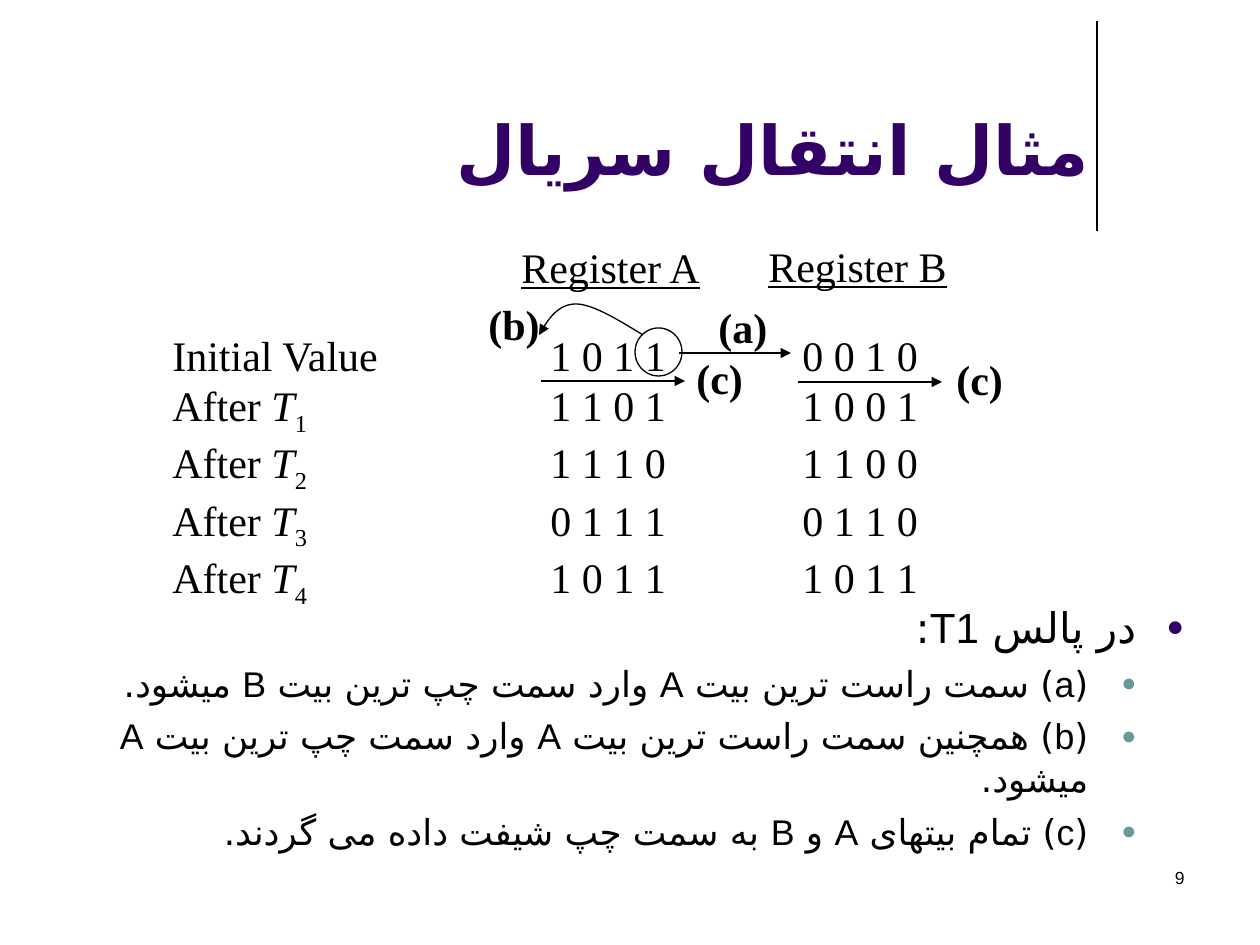
import pptx
import pptx.dml.color
import pptx.enum.shapes
import pptx.enum.text
import pptx.oxml
import pptx.oxml.ns
import pptx.util

EMU_PER_PX = 914400 / 126
BLACK, PURPLE, TEAL = "000000", "330066", "669999"
SERIF, SANS, PERSIAN = "Times New Roman", "Arial", "DejaVu Sans"
ALIGN = pptx.enum.text.PP_ALIGN

REGISTER_ROWS = [
    ("1 0 1 1", "0 0 1 0"),
    ("1 1 0 1", "1 0 0 1"),
    ("1 1 1 0", "1 1 0 0"),
    ("0 1 1 1", "0 1 1 0"),
    ("1 0 1 1", "1 0 1 1"),
]
STEPS = [
    "(a) سمت راست ترین بیت A وارد سمت چپ ترین بیت B میشود.",
    "(b) همچنین سمت راست ترین بیت A وارد سمت چپ ترین بیت A میشود.",
    "(c) تمام بیتهای A و B به سمت چپ شیفت داده می گردند.",
]


def px(*lengths):
    return [pptx.util.Emu(round(length * EMU_PER_PX)) for length in lengths]


def color(hex_string):
    return pptx.dml.color.RGBColor.from_string(hex_string)


def add_element(parent, tag, **attributes):
    element = pptx.oxml.parse_xml(f"<a:{tag} {pptx.oxml.ns.nsdecls('a')}/>")
    for name, value in attributes.items():
        element.set(name, str(value))
    parent.append(element)
    return element


def add_span(para, text, size=24, font=SERIF, fill=BLACK, bold=False,
             italic=False, underline=False, subscript=False):
    span = para.add_run()
    span.text = text
    span.font.size = pptx.util.Pt(size)
    span.font.name = font
    span.font.color.rgb = color(fill)
    span.font.bold = bold
    span.font.italic = italic
    span.font.underline = underline
    properties = span.font._element
    if subscript:
        properties.set("baseline", "-25000")
    add_element(properties, "cs", typeface=PERSIAN)


def add_box(page, x, y, width, height):
    box = page.shapes.add_textbox(*px(x, y, width, height))
    box.text_frame.word_wrap = True
    return box


def add_label(page, text, x, y, width, **style):
    box = add_box(page, x, y, width, 63)
    add_span(box.text_frame.paragraphs[0], text, **style)


def style_line(line, arrow=False):
    line.color.rgb = color(BLACK)
    line.width = pptx.util.Pt(0.75)
    if arrow:
        add_element(line._get_or_add_ln(), "tailEnd", type="triangle")


def add_line(page, x1, y1, x2, y2, arrow=True):
    straight = pptx.enum.shapes.MSO_CONNECTOR.STRAIGHT
    line = page.shapes.add_connector(straight, *px(x1, y1, x2, y2))
    style_line(line.line, arrow)
    add_element(line._element.spPr, "effectLst")


def bezier(start, first, second, end, steps=16):
    """Points along a cubic curve, without its start."""
    for step in range(1, steps + 1):
        t = step / steps
        yield tuple((1 - t) ** 3 * a + 3 * t * (1 - t) ** 2 * b
                    + 3 * t * t * (1 - t) * c + t ** 3 * d
                    for a, b, c, d in zip(start, first, second, end))


def add_feedback_arc(page):
    start, crest, end = (643, 335), (576, 304), (539, 335)
    points = [*bezier(start, (617, 319), (592, 304), crest),
              *bezier(crest, (558, 304), (548, 319), end)]
    builder = page.shapes.build_freeform(*px(*start), scale=1.0)
    builder.add_line_segments([px(*point) for point in points], close=False)
    arc = builder.convert_to_shape()
    arc.shadow.inherit = False
    arc.fill.background()
    style_line(arc.line, arrow=True)


def add_bit_circle(page):
    oval = pptx.enum.shapes.MSO_SHAPE.OVAL
    circle = page.shapes.add_shape(oval, *px(635, 328, 47, 48))
    circle.shadow.inherit = False
    circle.fill.background()
    style_line(circle.line)


def add_register_values(page):
    frame = add_box(page, 160, 323, 800, 292).text_frame
    for index, (register_a, register_b) in enumerate(REGISTER_ROWS):
        para = frame.add_paragraph() if index else frame.paragraphs[0]
        tabs = add_element(para._p.get_or_add_pPr(), "tabLst")
        for stop in px(378, 630):
            add_element(tabs, "tab", pos=stop, algn="l")
        if index:
            add_span(para, "After ")
            add_span(para, "T", italic=True)
            add_span(para, str(index), subscript=True)
        else:
            add_span(para, "Initial Value")
        add_span(para, f"\t{register_a}\t{register_b}")


def place(shape, x, y, width, height):
    shape.left, shape.top, shape.width, shape.height = px(x, y, width, height)
    shape.text_frame.word_wrap = True
    shape.text_frame.auto_size = pptx.enum.text.MSO_AUTO_SIZE.NONE


def set_right_to_left(para):
    para.alignment = ALIGN.RIGHT
    para._p.get_or_add_pPr().set("rtl", "1")


def fill_title(title):
    place(title, 388, 16, 714, 179)
    title.text_frame.vertical_anchor = pptx.enum.text.MSO_ANCHOR.BOTTOM
    para = title.text_frame.paragraphs[0]
    set_right_to_left(para)
    add_span(para, "مثال انتقال سریال", 39, SANS, PURPLE, bold=True)


def add_bullet(para, level, fill):
    properties = para._p.get_or_add_pPr()
    indent = px(48)[0]
    properties.set("marL", str(indent * (level + 1)))
    properties.set("indent", str(-indent))
    add_element(add_element(properties, "buClr"), "srgbClr", val=fill)
    add_element(properties, "buSzPct", val=70000)
    add_element(properties, "buFont", typeface=SANS)
    add_element(properties, "buChar", char="●")


def fill_body(body):
    place(body, 63, 595, 1134, 276)
    frame = body.text_frame
    for index, text in enumerate(["در پالس T1:", *STEPS]):
        para = frame.add_paragraph() if index else frame.paragraphs[0]
        para.level = 1 if index else 0
        set_right_to_left(para)
        add_bullet(para, para.level, TEAL if index else PURPLE)
        para.space_before = pptx.util.Pt(5.5 if index else 0)
        add_span(para, text, 20.4 if index else 24.1, SANS)


def add_page_number(page):
    para = add_box(page, 903, 861, 294, 63).text_frame.paragraphs[0]
    para.alignment = ALIGN.RIGHT
    add_span(para, "9", 10, SANS)


def main():
    deck = pptx.Presentation()
    deck.slide_width, deck.slide_height = px(1260, 945)
    page = deck.slides.add_slide(deck.slide_layouts[1])
    fill_title(page.shapes.title)
    fill_body(page.placeholders[1])
    add_line(page, 1097, 21, 1097, 231, arrow=False)
    add_page_number(page)

    add_register_values(page)
    add_label(page, "Register A", 509, 235, 215, underline=True)
    add_label(page, "Register B", 756, 234, 215, underline=True)

    add_bit_circle(page)
    add_feedback_arc(page)
    add_line(page, 679, 353, 791, 353)
    add_line(page, 541, 381, 685, 381)
    add_line(page, 798, 382, 942, 382)
    for text, x, y in [("(b)", 476, 292), ("(a)", 706, 295),
                       ("(c)", 684, 346), ("(c)", 944, 347)]:
        add_label(page, text, x, y, 85, bold=True)
    deck.save("out.pptx")


if __name__ == "__main__":
    main()
